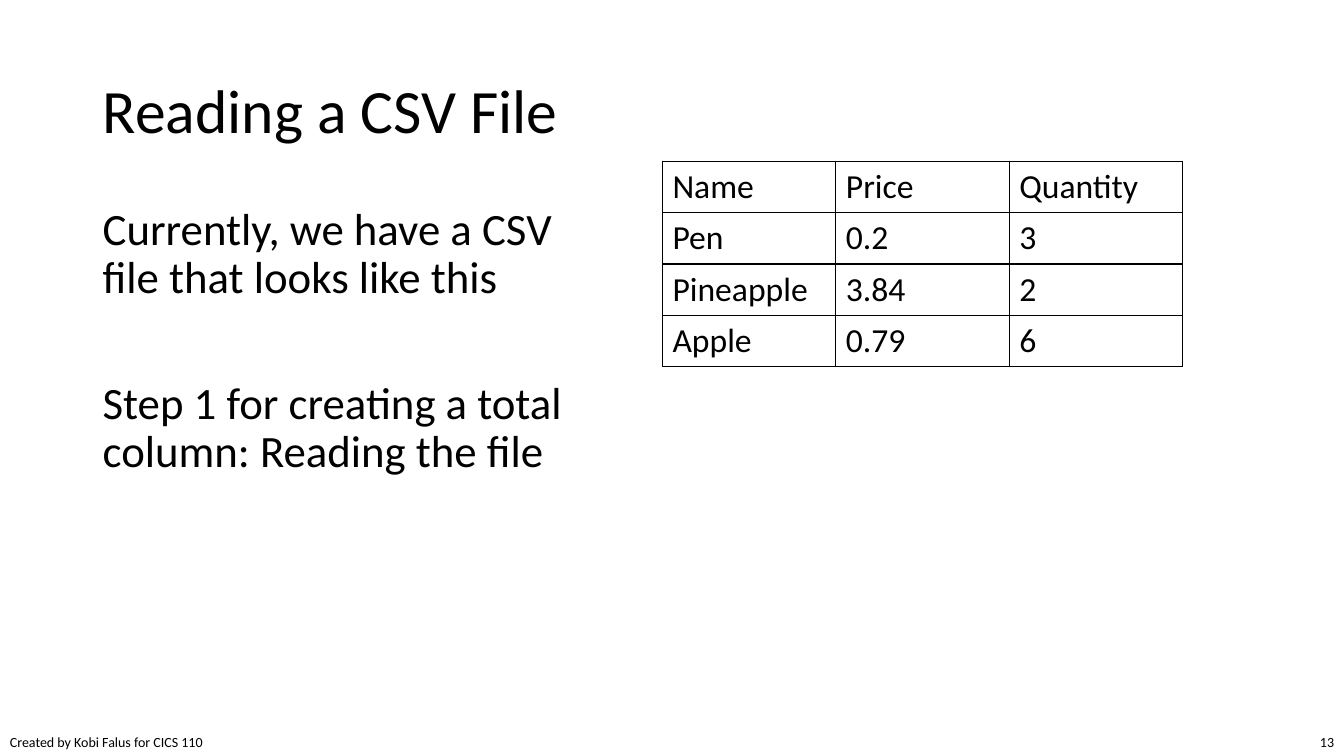
from lxml import etree
from pptx import Presentation
from pptx.dml.color import RGBColor
from pptx.enum.text import MSO_ANCHOR, PP_ALIGN
from pptx.oxml.ns import qn
from pptx.util import Inches, Pt

LEFT, RIGHT = PP_ALIGN.LEFT, PP_ALIGN.RIGHT
TOP, MIDDLE = MSO_ANCHOR.TOP, MSO_ANCHOR.MIDDLE

TITLE = "Reading a CSV File"
BODY = [
    "Currently, we have a CSV file that looks like this",
    "Step 1 for creating a total column: Reading the file",
]
PRODUCTS = [
    ("Name", "Price", "Quantity"),
    ("Pen", "0.2", "3"),
    ("Pineapple", "3.84", "2"),
    ("Apple", "0.79", "6"),
]
CREDIT = "Created by Kobi Falus for CICS 110"
PAGE_NUMBER = "13"

COLORS = {"text": "000000", "border": "000000", "background": "FFFFFF"}
FONT = "Calibri"
COLUMN_WIDTH, ROW_HEIGHT = 1.72, 0.51
PARAGRAPH_GAP = 55


def write(text_frame, lines, size, align=LEFT, anchor=TOP, spacing=None, gap=0):
    text_frame.text = "\n".join(lines)
    text_frame.vertical_anchor = anchor
    for index, paragraph in enumerate(text_frame.paragraphs):
        paragraph.alignment = align
        paragraph.line_spacing = spacing
        paragraph.space_before = Pt(gap if index else 0)
        for run in paragraph.runs:
            run.font.name = FONT
            run.font.size = Pt(size)
            run.font.color.rgb = RGBColor.from_string(COLORS["text"])


def place(shape, left, top, width, height):
    shape.left, shape.top = Inches(left), Inches(top)
    shape.width, shape.height = Inches(width), Inches(height)


def add_text(slide, box, lines, size, wrap=True, **style):
    shape = slide.shapes.add_textbox(*map(Inches, box))
    shape.text_frame.word_wrap = wrap
    write(shape.text_frame, lines, size, **style)


def add_borders(cell):
    properties = cell._tc.get_or_add_tcPr()
    for index, side in enumerate(("lnL", "lnR", "lnT", "lnB")):
        line = etree.Element(qn(f"a:{side}"), w=str(Pt(1)))
        fill = etree.SubElement(line, qn("a:solidFill"))
        etree.SubElement(fill, qn("a:srgbClr"), val=COLORS["border"])
        properties.insert(index, line)


def add_products(slide, left, top):
    rows, columns = len(PRODUCTS), len(PRODUCTS[0])
    table = slide.shapes.add_table(
        rows, columns, Inches(left), Inches(top),
        Inches(columns * COLUMN_WIDTH), Inches(rows * ROW_HEIGHT),
    ).table
    table.first_row = False
    table.horz_banding = False
    for column in table.columns:
        column.width = Inches(COLUMN_WIDTH)
    for row, values in zip(table.rows, PRODUCTS):
        row.height = Inches(ROW_HEIGHT)
        for cell, value in zip(row.cells, values):
            write(cell.text_frame, [value], 24)
            cell.fill.solid()
            cell.fill.fore_color.rgb = RGBColor.from_string(COLORS["background"])
            add_borders(cell)


def main():
    presentation = Presentation()
    presentation.slide_width = Inches(13.33)
    presentation.slide_height = Inches(7.5)
    slide = presentation.slides.add_slide(presentation.slide_layouts[5])

    title = slide.shapes.title
    place(title, 0.92, 0.4, 11.5, 1.45)
    write(title.text_frame, [TITLE], 44, anchor=MIDDLE, spacing=0.9)

    add_text(slide, (0.92, 2, 5, 4.76), BODY, 32, spacing=0.9, gap=PARAGRAPH_GAP)
    add_products(slide, 6.57, 1.6)
    add_text(slide, (0, 7.23, 2.15, 0.27), [CREDIT], 10, wrap=False)
    add_text(slide, (12.78, 7.23, 0.55, 0.27), [PAGE_NUMBER], 10, align=RIGHT)

    presentation.save("out.pptx")


if __name__ == "__main__":
    main()
